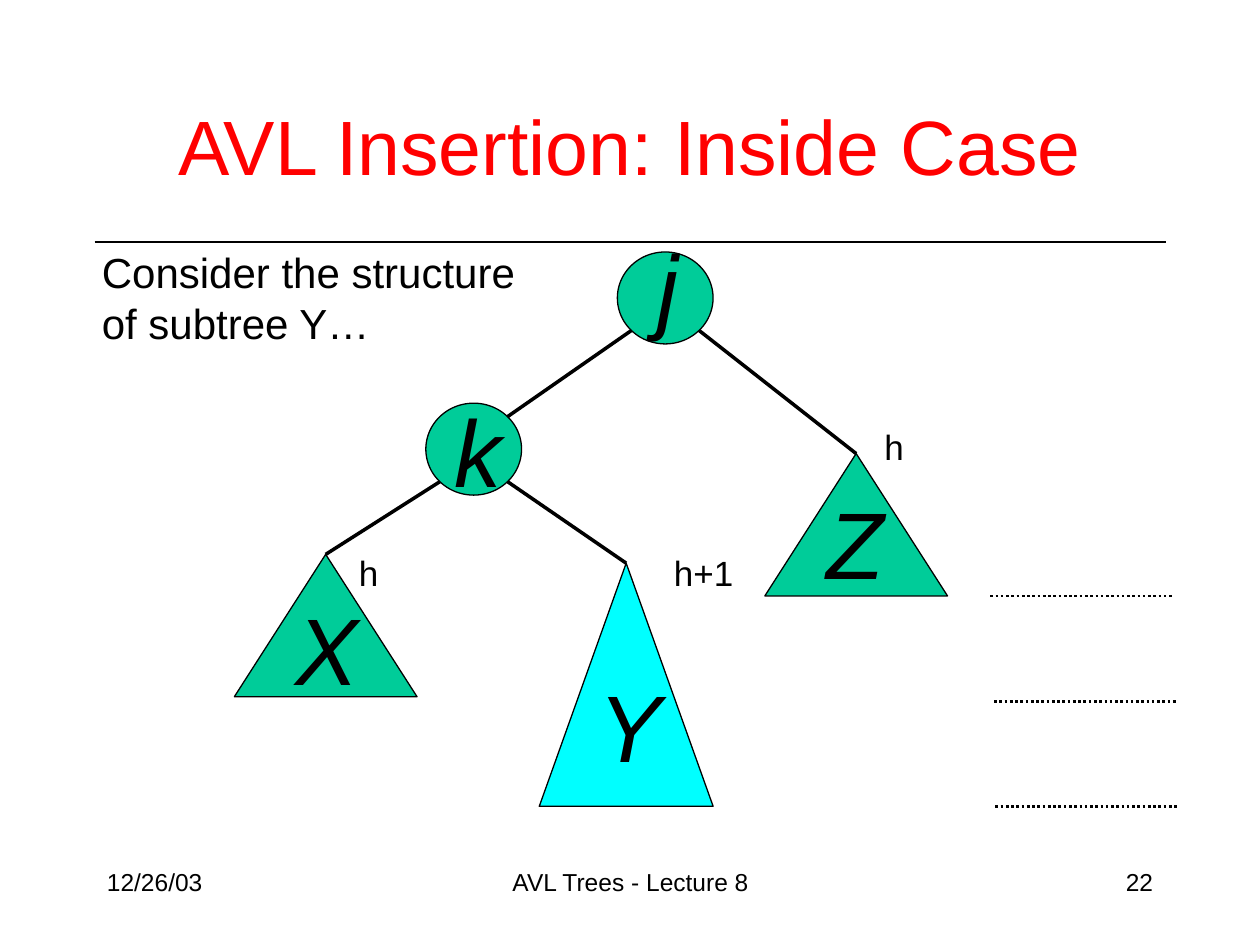
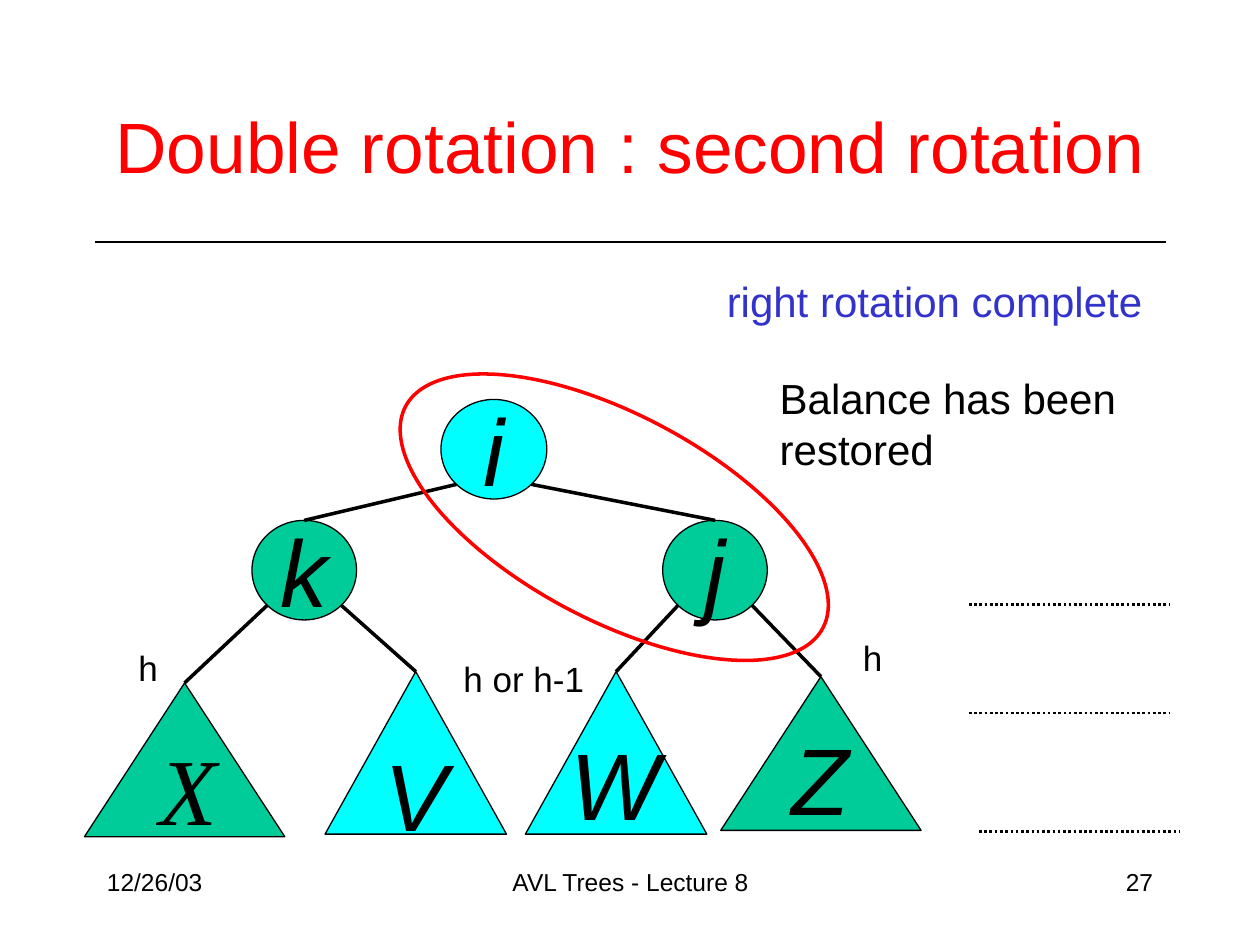
from math import sqrt

from pptx import Presentation
from pptx.dml.color import RGBColor
from pptx.enum.dml import MSO_LINE
from pptx.enum.shapes import MSO_CONNECTOR, MSO_SHAPE
from pptx.enum.text import MSO_ANCHOR, MSO_AUTO_SIZE, PP_ALIGN
from pptx.oxml.ns import qn
from pptx.util import Emu, Pt
from lxml.etree import SubElement

# Shared style: 100 px to the inch
PX = 9144
BLACK, RED, BLUE = "000000", "FF0000", "3333CC"
GREEN, CYAN = "00CC99", "00FFFF"
TITLE_BOX = (73, 71, 854, 88)
TITLE_RULE = (75, 192, 925, 192)
FOOTER_TOP, FOOTER_HEIGHT = 683, 50
DATE, COURSE = "12/26/03", "AVL Trees - Lecture 8"
LETTER = {"size": 54, "italic": True}
LETTER_HEIGHT = 100

# Nodes: name -> shape, box, fill, then left, top, width of a separate letter
# box (None puts the letter in the shape) and the letter's font.
# Edges: parent, child, and whether the line ends at the child's upper corner.
# Notes: text, box, format.
PAGES = [
    {
        "title": "AVL Insertion: Inside Case", "title_size": 44, "number": "22",
        "nodes": {
            "j": ("ellipse", (490, 200, 76, 73), GREEN, (512, 176, 47), "Arial"),
            "k": ("ellipse", (338, 320, 76, 73), GREEN, (351, 307, 46), "Arial"),
            "X": ("triangle", (186, 440, 145, 113), GREEN, (225, 464, 46), "Arial"),
            "Y": ("triangle", (428, 447, 138, 193), CYAN, (465, 525, 46), "Arial"),
            "Z": ("triangle", (607, 360, 145, 113), GREEN, (646, 380, 46), "Arial"),
        },
        "edges": [("j", "k", True), ("j", "Z", False),
                  ("k", "X", False), ("k", "Y", False)],
        "level_width": 145,
        "levels": [(786, 473), (789, 557), (790, 640)],
        "notes": [
            ("Consider the structure\nof subtree Y…", (71, 191, 348, 90), {"size": 24}),
            ("h", (692, 333, 36, 44), {"size": 20}),
            ("h+1", (525, 433, 67, 44), {"size": 20}),
            ("h", (275, 433, 35, 44), {"size": 20}),
        ],
        "ring": None,
    },
    {
        "title": "Double rotation : second rotation", "title_size": 40.7, "number": "27",
        "nodes": {
            "i": ("ellipse", (350, 317, 84, 79), CYAN, None, "Arial"),
            "k": ("ellipse", (200, 413, 83, 79), GREEN, None, "Arial"),
            "j": ("ellipse", (526, 413, 83, 79), GREEN, None, "Arial"),
            "X": ("triangle", (67, 542, 159, 122), GREEN, (117, 575, 51), "Times New Roman"),
            "V": ("triangle", (258, 533, 144, 129), CYAN, None, "Arial"),
            "W": ("triangle", (417, 533, 144, 129), CYAN, (443, 571, 51), "Arial"),
            "Z": ("triangle", (572, 537, 159, 122), GREEN, (618, 567, 51), "Arial"),
        },
        "edges": [("i", "k", False), ("i", "j", False), ("k", "X", False),
                  ("k", "V", False), ("j", "W", False), ("j", "Z", False)],
        "level_width": 159,
        "levels": [(769, 480), (769, 566), (777, 660)],
        "notes": [
            ("right rotation complete", (567, 214, 350, 50), {"size": 24, "color": BLUE}),
            ("Balance has been\nrestored", (609, 291, 296, 90),
             {"size": 24, "anchor": MSO_ANCHOR.MIDDLE}),
            ("h", (675, 500, 36, 44), {"size": 20}),
            ("h", (100, 508, 35, 44), {"size": 20}),
            ("h or h-1", (358, 517, 116, 44), {"size": 20}),
        ],
        "ring": ((300, 329, 375, 163), 28),
    },
]


# Drawing helpers
def emu(*lengths):
    return [Emu(round(length * PX)) for length in lengths]


def rgb(color):
    return RGBColor.from_string(color)


def write(frame, text, size, font="Arial", color=BLACK, italic=False, before=0,
          align=PP_ALIGN.LEFT, anchor=MSO_ANCHOR.TOP, wrap=True,
          fit=MSO_AUTO_SIZE.NONE):
    frame.auto_size, frame.word_wrap, frame.vertical_anchor = fit, wrap, anchor
    for index, line in enumerate(text.split("\n")):
        para = frame.add_paragraph() if index else frame.paragraphs[0]
        para.alignment, para.space_before = align, Pt(before)
        span = para.add_run()
        span.text = line
        span.font.name, span.font.size, span.font.italic = font, Pt(size), italic
        span.font.color.rgb = rgb(color)


def add_text(page, text, box, **style):
    write(page.shapes.add_textbox(*emu(*box)).text_frame, text, **style)


def add_outline(page, kind, box, fill=None, line=BLACK, width=0.75):
    preset = MSO_SHAPE.OVAL if kind == "ellipse" else MSO_SHAPE.ISOSCELES_TRIANGLE
    shape = page.shapes.add_shape(preset, *emu(*box))
    shape.shadow.inherit = False
    if fill:
        shape.fill.solid()
        shape.fill.fore_color.rgb = rgb(fill)
    else:
        shape.fill.background()
    shape.line.color.rgb, shape.line.width = rgb(line), Pt(width)
    return shape


def add_line(page, ends, width, dash=None):
    line = page.shapes.add_connector(MSO_CONNECTOR.STRAIGHT, *emu(*ends))
    line.line.color.rgb, line.line.width = rgb(BLACK), Pt(width)
    if dash:
        line.line.dash_style = dash
    SubElement(line._element.spPr, qn("a:effectLst"))
    return line


# Tree parts
def corner(box, across, down):
    """Point on an ellipse's diagonal; across and down are -1 or 1."""
    left, top, width, height = box
    return (left + width / 2 * (1 + across / sqrt(2)),
            top + height / 2 * (1 + down / sqrt(2)))


def add_node(page, name, kind, box, fill, letter_box, font):
    shape = add_outline(page, kind, box, fill)
    if letter_box:
        add_text(page, name, (*letter_box, LETTER_HEIGHT), font=font, before=33.8,
                 fit=MSO_AUTO_SIZE.SHAPE_TO_FIT_TEXT, **LETTER)
    else:
        write(shape.text_frame, name, font=font, align=PP_ALIGN.CENTER,
              anchor=MSO_ANCHOR.MIDDLE, wrap=False, **LETTER)
    return shape


def add_edge(page, parent_box, child_box, child, to_corner):
    middle = child_box[0] + child_box[2] / 2
    side = 1 if middle > parent_box[0] + parent_box[2] / 2 else -1
    end = corner(child_box, -side, -1) if to_corner else (middle, child_box[1])
    edge = add_line(page, (*corner(parent_box, side, 1), *end), 2)
    if not to_corner:
        edge.end_connect(child, 0)


def add_frame(page, title, size, number):
    """Title, rule below it and the three footers."""
    holder = page.shapes.title
    holder.left, holder.top, holder.width, holder.height = emu(*TITLE_BOX)
    write(holder.text_frame, title, size, color=RED, align=PP_ALIGN.CENTER,
          anchor=MSO_ANCHOR.MIDDLE)
    add_line(page, TITLE_RULE, 0.75)
    for text, left, width, align in ((DATE, 75, 208, PP_ALIGN.LEFT),
                                     (COURSE, 342, 317, PP_ALIGN.CENTER),
                                     (number, 717, 208, PP_ALIGN.RIGHT)):
        add_text(page, text, (left, FOOTER_TOP, width, FOOTER_HEIGHT), size=14, align=align)


def build_page(deck, content):
    page = deck.slides.add_slide(deck.slide_layouts[5])
    add_frame(page, content["title"], content["title_size"], content["number"])
    nodes = content["nodes"]
    shapes = {name: add_node(page, name, *node) for name, node in nodes.items()}
    for parent, child, to_corner in content["edges"]:
        add_edge(page, nodes[parent][1], nodes[child][1], shapes[child], to_corner)
    for left, top in content["levels"]:
        add_line(page, (left, top, left + content["level_width"], top), 1.5,
                 MSO_LINE.ROUND_DOT)
    if content["ring"]:
        box, angle = content["ring"]
        add_outline(page, "ellipse", box, line=RED, width=2).rotation = angle
    for text, box, style in content["notes"]:
        add_text(page, text, box, wrap=False, fit=MSO_AUTO_SIZE.SHAPE_TO_FIT_TEXT, **style)


def main():
    deck = Presentation()
    deck.slide_width, deck.slide_height = emu(1000, 750)
    for content in PAGES:
        build_page(deck, content)
    deck.save("out.pptx")


if __name__ == "__main__":
    main()
